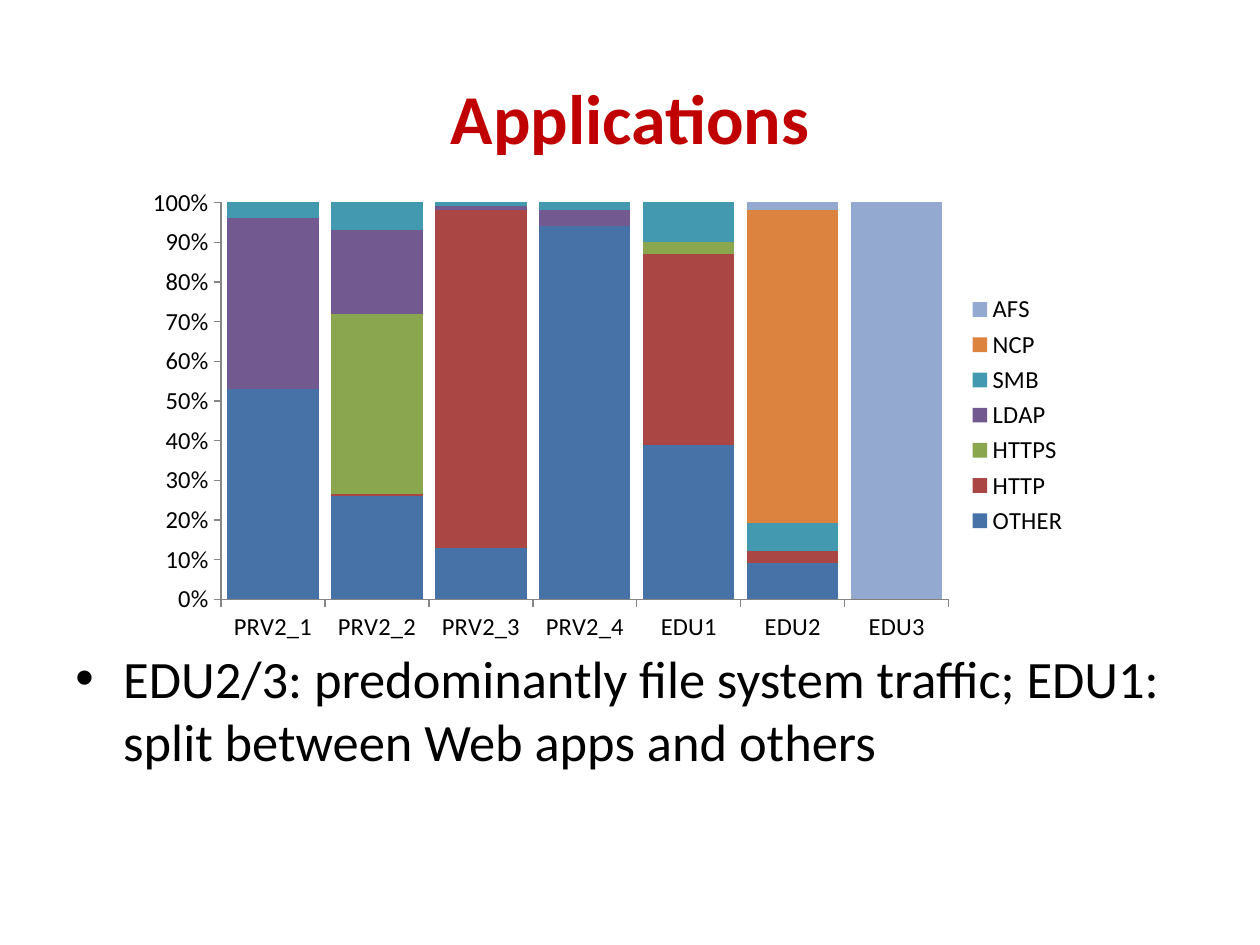
import pptx
import pptx.chart.data
import pptx.dml.color
import pptx.enum.chart
import pptx.enum.text
import pptx.oxml
import pptx.oxml.ns
import pptx.util
from pptx.util import Inches

RGBColor = pptx.dml.color.RGBColor
RED = RGBColor(0xC0, 0x00, 0x00)
BLACK = RGBColor(0x00, 0x00, 0x00)
GRAY = RGBColor(0x86, 0x86, 0x86)
FONT = "Calibri"

SITES = ["PRV2_1", "PRV2_2", "PRV2_3", "PRV2_4", "EDU1", "EDU2", "EDU3"]
# Protocol, fill colour, share of traffic at each site
PROTOCOLS = [
    ("OTHER", RGBColor(0x46, 0x72, 0xA8), (53, 26, 13, 94, 39, 9, 0)),
    ("HTTP", RGBColor(0xAA, 0x47, 0x44), (0, 0.5, 85, 0, 48, 3, 0)),
    ("HTTPS", RGBColor(0x8A, 0xA6, 0x4F), (0, 45, 0, 0, 3, 0, 0)),
    ("LDAP", RGBColor(0x72, 0x59, 0x90), (43, 21, 1, 4, 0, 0, 0)),
    ("SMB", RGBColor(0x42, 0x99, 0xB0), (4, 7, 1, 2, 10, 7, 0)),
    ("NCP", RGBColor(0xDC, 0x84, 0x3F), (0, 0, 0, 0, 0, 78, 0)),
    ("AFS", RGBColor(0x93, 0xA9, 0xCF), (0, 0, 0, 0, 0, 2, 100)),
]


def set_font(font, size, color=BLACK, bold=False):
    font.name = FONT
    font.size = pptx.util.Pt(size)
    font.color.rgb = color
    font.bold = bold


def add_text(slide, box, text, size, color=BLACK, bold=False,
             align=pptx.enum.text.PP_ALIGN.LEFT,
             anchor=pptx.enum.text.MSO_ANCHOR.TOP):
    tf = slide.shapes.add_textbox(*map(Inches, box)).text_frame
    tf.word_wrap = True
    tf.vertical_anchor = anchor
    p = tf.paragraphs[0]
    p.alignment = align
    r = p.add_run()
    r.text = text
    set_font(r.font, size, color, bold)
    return p


def add_title(slide, box):
    add_text(slide, box, "Applications", 40, color=RED, bold=True,
             align=pptx.enum.text.PP_ALIGN.CENTER,
             anchor=pptx.enum.text.MSO_ANCHOR.MIDDLE)


def add_finding(slide, box):
    p = add_text(slide, box, "EDU2/3: predominantly file system traffic; "
                 "EDU1: split between Web apps and others", 30)
    p.space_before = pptx.util.Pt(6)
    # Hanging bullet
    pPr = p._p.get_or_add_pPr()
    pPr.set("marL", str(Inches(0.38)))
    pPr.set("indent", str(Inches(-0.38)))
    for tag, name, value in (("a:buFont", "typeface", "Arial"),
                             ("a:buChar", "char", "•")):
        bullet = pptx.oxml.xmlchemy.OxmlElement(tag)
        bullet.set(name, value)
        pPr.append(bullet)


def place_plot(chart, x, y, w, h):
    """Fix the inner plot area, in fractions of the chart box."""
    plot_area = chart._chartSpace.chart.plotArea
    for old in plot_area.findall(pptx.oxml.ns.qn("c:layout")):
        plot_area.remove(old)
    plot_area.insert(0, pptx.oxml.parse_xml(
        f'<c:layout {pptx.oxml.ns.nsdecls("c")}><c:manualLayout>'
        '<c:layoutTarget val="inner"/><c:xMode val="edge"/><c:yMode val="edge"/>'
        f'<c:x val="{x}"/><c:y val="{y}"/><c:w val="{w}"/><c:h val="{h}"/>'
        '</c:manualLayout></c:layout>'))


def add_traffic_chart(slide, box):
    data = pptx.chart.data.CategoryChartData()
    data.categories = SITES
    for name, _, shares in PROTOCOLS:
        data.add_series(name, shares)
    chart = slide.shapes.add_chart(
        pptx.enum.chart.XL_CHART_TYPE.COLUMN_STACKED_100,
        *map(Inches, box), data).chart
    chart.has_title = False
    set_font(chart.font, 14)
    place_plot(chart, 0.09, 0.05, 0.77, 0.84)

    # Columns
    plot = chart.plots[0]
    plot.gap_width = 14
    plot.overlap = 100
    plot.vary_by_categories = False
    for series, (_, color, _) in zip(plot.series, PROTOCOLS):
        series.format.fill.solid()
        series.format.fill.fore_color.rgb = color

    # Axes
    for axis in (chart.category_axis, chart.value_axis):
        axis.has_major_gridlines = False
        axis.major_tick_mark = pptx.enum.chart.XL_TICK_MARK.OUTSIDE
        axis.format.line.color.rgb = GRAY
        axis.format.line.width = pptx.util.Pt(0.75)
    chart.value_axis.minimum_scale = 0
    chart.value_axis.maximum_scale = 1
    chart.value_axis.major_unit = 0.1
    chart.value_axis.tick_labels.number_format = "0%"
    chart.value_axis.tick_labels.number_format_is_linked = False

    # Legend
    chart.has_legend = True
    chart.legend.position = pptx.enum.chart.XL_LEGEND_POSITION.RIGHT
    chart.legend.include_in_layout = False


def main():
    prs = pptx.Presentation()
    prs.slide_width, prs.slide_height = Inches(10), Inches(7.5)
    slide = prs.slides.add_slide(prs.slide_layouts[6])
    add_title(slide, (0.5, 0.3, 9, 1.25))
    add_finding(slide, (0.5, 5.08, 9, 2.42))
    add_traffic_chart(slide, (1.08, 1.42, 7.5, 3.75))
    prs.save("out.pptx")


if __name__ == "__main__":
    main()
